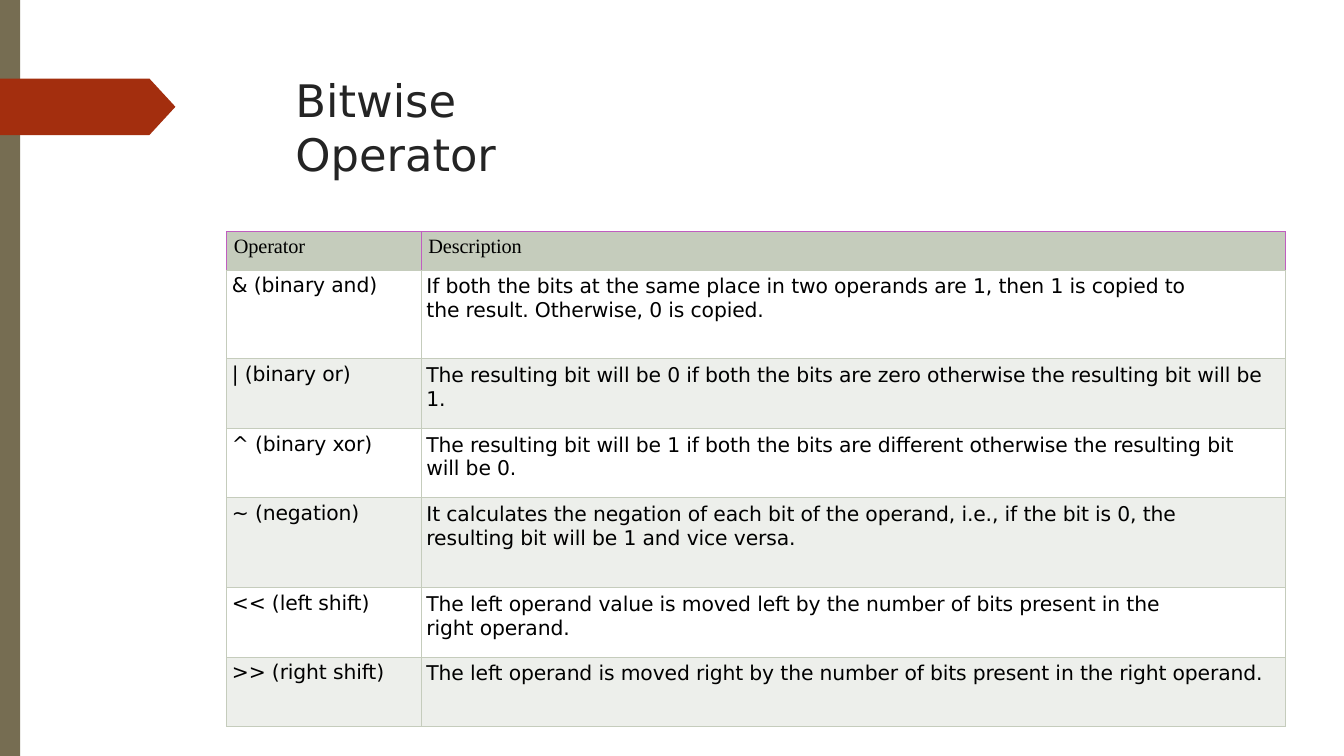
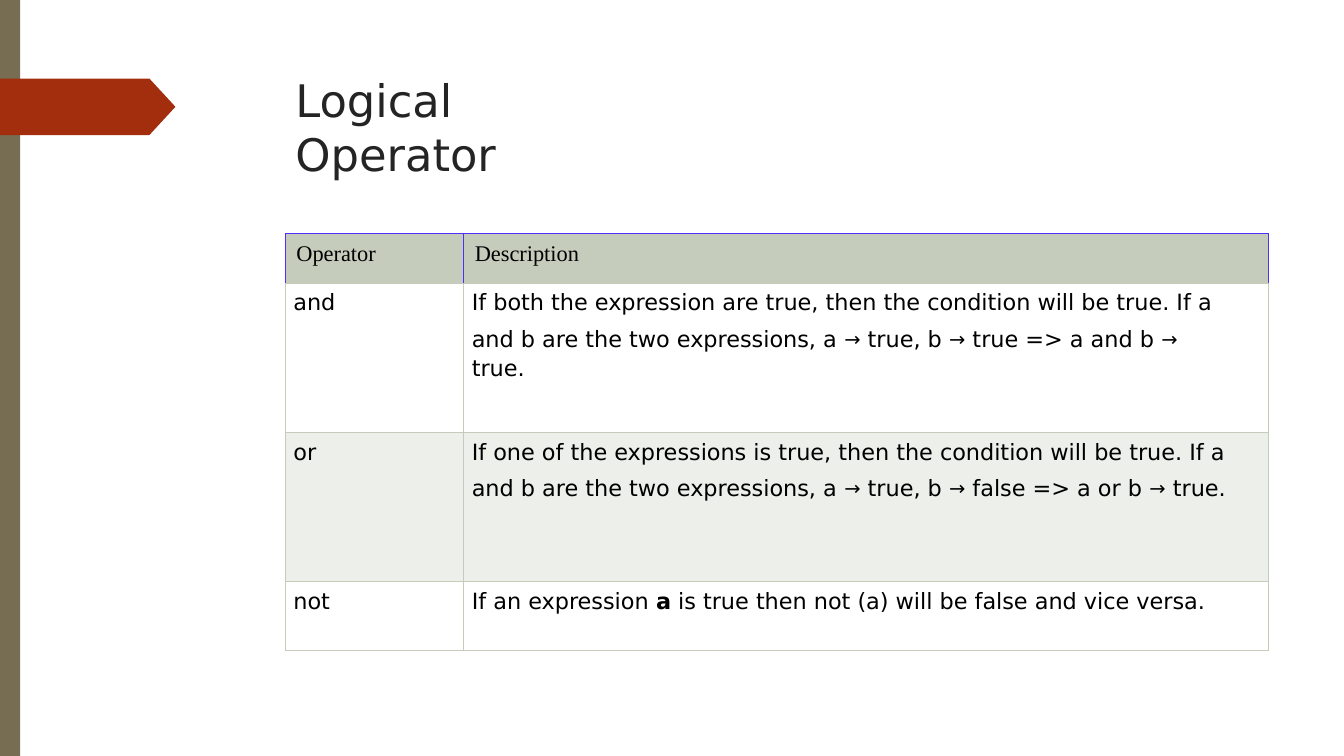
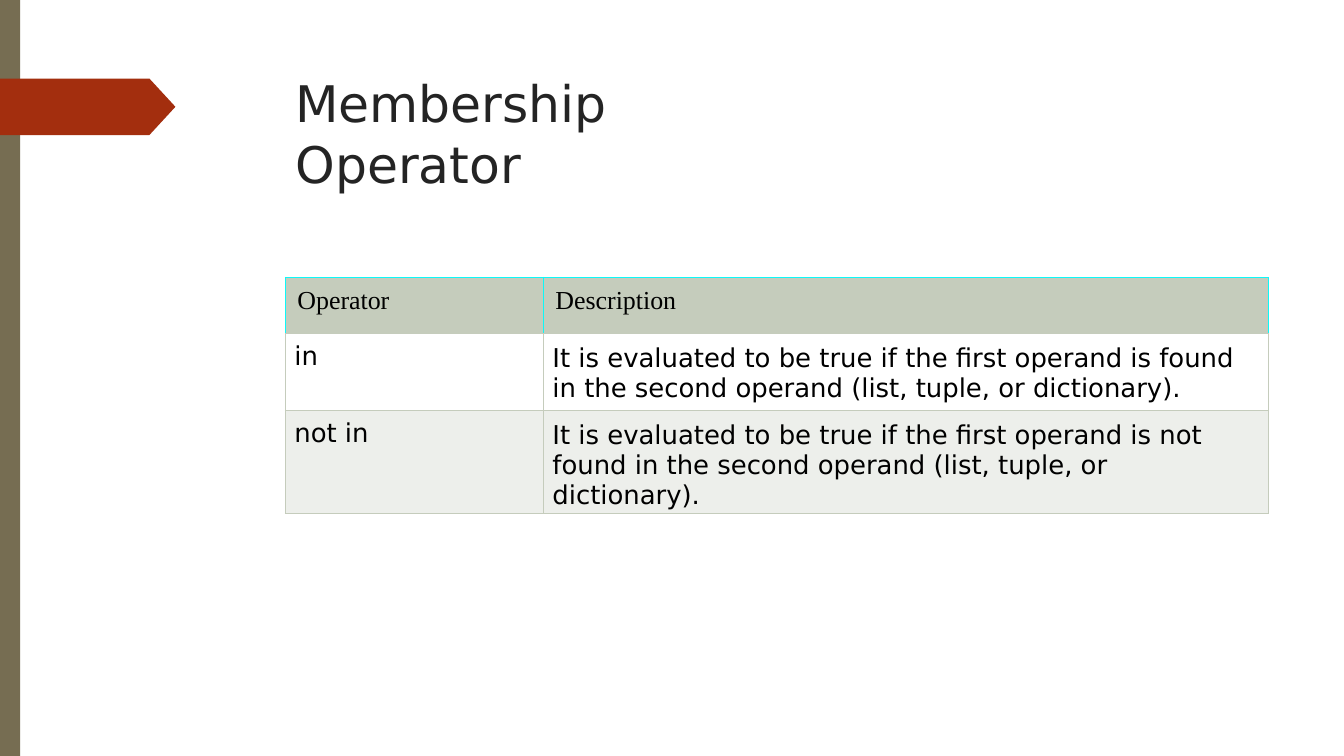
"""Build three slides that tabulate the bitwise, logical and membership operators."""
from itertools import groupby

from lxml.etree import SubElement
from pptx import Presentation
from pptx.dml.color import RGBColor
from pptx.enum.shapes import MSO_SHAPE as Preset
from pptx.enum.text import MSO_ANCHOR as Anchor, MSO_AUTO_SIZE as AutoSize, PP_ALIGN as Align
from pptx.oxml.ns import qn
from pptx.util import Inches, Pt

WIDTH, HEIGHT = 13.33, 7.5
BODY_FONT, HEADER_FONT, ARROW_FONT = "DejaVu Sans", "Times New Roman", "Roboto"
BAND, RIBBON, TITLE, TEXT = "766D52", "A32E0E", "242424", "000000"
SAGE, STRIPES = "C5CCBC", ("FFFFFF", "EDEFEB")
ARROW, BOLD_MARK = "→", "**"
HEADINGS = ("Operator", "Description")

SLIDES = [
    {
        "title": "Bitwise Operator", "title_size": 32, "title_box": (3.54, 0.56),
        "origin": (2.25, 2.3), "columns": (1.93, 8.57), "header_height": 0.38,
        "size": 14.5, "spacing": -10, "accent": "C05DC0",
        "header_inset": (0.07, 0.04), "body_insets": ((0.05, 0.04), (0.05, 0.05)),
        "rows": [
            (0.88, 0.75, "& (binary and)",
             ["If both the bits at the same place in two operands are 1, then 1 is copied to "
              "the result. Otherwise, 0 is copied."]),
            (0.69, 0, "| (binary or)",
             ["The resulting bit will be 0 if both the bits are zero otherwise the resulting "
              "bit will be 1."]),
            (0.69, 0.3, "^ (binary xor)",
             ["The resulting bit will be 1 if both the bits are different otherwise the "
              "resulting bit will be 0."]),
            (0.89, 0.5, "~ (negation)",
             ["It calculates the negation of each bit of the operand, i.e., if the bit is 0, "
              "the resulting bit will be 1 and vice versa."]),
            (0.69, 0.9, "<< (left shift)",
             ["The left operand value is moved left by the number of bits present in the "
              "right operand."]),
            (0.69, 0, ">> (right shift)",
             ["The left operand is moved right by the number of bits present in the right "
              "operand."]),
        ],
    },
    {
        "title": "Logical Operator", "title_size": 32, "title_box": (3.6, 0.56),
        "origin": (2.83, 2.32), "columns": (1.77, 7.98), "header_height": 0.49,
        "size": 16, "spacing": 0, "accent": "5030F9",
        "header_inset": (0.11, 0.08), "body_insets": ((0.08, 0.07), (0.08, 0.07)),
        "rows": [
            (1.48, 0.45, "and",
             ["If both the expression are true, then the condition will be true. If a and b "
              "are the two expressions, a → true, b → true => a and b → true."]),
            (1.48, 0.1, "or",
             ["If one of the expressions is true, then the condition will be true. If a",
              "and b are the two expressions, a → true, b → false => a or b → true."]),
            (0.68, 0.1, "not",
             ["If an expression **a** is true then not (a) will be false and vice versa."]),
        ],
    },
    {
        "title": "Membership Operator", "title_size": 36, "title_box": (5.42, 0.63),
        "origin": (2.83, 2.75), "columns": (2.56, 7.19), "header_height": 0.56,
        "size": 18.5, "spacing": 0, "accent": "0EF8F8",
        "header_inset": (0.12, 0.09), "body_insets": ((0.09, 0.08), (0.09, 0.1)),
        "rows": [
            (0.76, 0.15, "in",
             ["It is evaluated to be true if the first operand is found in the second operand "
              "(list, tuple, or dictionary)."]),
            (0.77, 0.3, "not in",
             ["It is evaluated to be true if the first operand is not found in the second "
              "operand (list, tuple, or dictionary)."]),
        ],
    },
]


def rgb(value):
    """Turn a hex string into a colour."""
    return RGBColor.from_string(value)


def style_font(font, name, size, color, bold=False):
    """Set the face, size, colour and weight of a font."""
    font.name, font.size, font.bold = name, Pt(size), bold
    font.color.rgb = rgb(color)


def add_band(slide, preset, box, color):
    """Draw a plain filled shape and return it."""
    shape = slide.shapes.add_shape(preset, *map(Inches, box))
    shape.shadow.inherit = False
    shape.fill.solid()
    shape.fill.fore_color.rgb = rgb(color)
    shape.line.fill.background()
    return shape


def add_frame(slide):
    """Draw the side band and the ribbon."""
    add_band(slide, Preset.RECTANGLE, (0, 0, 0.2, HEIGHT), BAND)
    ribbon = add_band(slide, Preset.PENTAGON, (0, 0.78, 1.74, 0.56), RIBBON)
    ribbon.adjustments[0] = 0.46


def set_title(slide, text, size, box):
    """Place and format the title placeholder."""
    title = slide.shapes.title
    title.left, title.top = Inches(2.92), Inches(0.71)
    title.width, title.height = map(Inches, box)
    frame = title.text_frame
    frame.text = text
    frame.word_wrap = True
    frame.auto_size = AutoSize.SHAPE_TO_FIT_TEXT
    frame.vertical_anchor = Anchor.TOP
    frame.margin_left = frame.margin_top = Inches(0.01)
    frame.margin_right = frame.margin_bottom = 0
    paragraph = frame.paragraphs[0]
    paragraph.alignment = Align.LEFT
    paragraph.space_before = Pt(1.1)
    style_font(paragraph.runs[0].font, BODY_FONT, size, TITLE)


def add_runs(paragraph, text, font_name, size, spacing):
    """Add text as runs, with raised arrows and marked bold parts."""
    for index, part in enumerate(text.split(BOLD_MARK)):
        for is_arrow, letters in groupby(part, lambda letter: letter == ARROW):
            run = paragraph.add_run()
            run.text = "".join(letters)
            properties = run._r.get_or_add_rPr()
            if is_arrow:
                style_font(run.font, ARROW_FONT, 24, TEXT)
                properties.set("baseline", "3000")
            else:
                style_font(run.font, font_name, size, TEXT, index % 2 == 1)
                properties.set("spc", str(spacing))


def set_borders(cell, colors):
    """Draw the left, right, top and bottom borders of a cell."""
    properties = cell._tc.get_or_add_tcPr()
    for side, color in zip("LRTB", colors):
        line = SubElement(properties, qn(f"a:ln{side}"), w=str(int(Pt(0.75))))
        fill = SubElement(line, qn("a:solidFill"))
        SubElement(fill, qn("a:srgbClr"), val=color)


def fill_cell(cell, paragraphs, font_name, size, spacing, inset, right, color, borders):
    """Write and format one table cell."""
    cell.margin_left, cell.margin_top = map(Inches, inset)
    cell.margin_right, cell.margin_bottom = Inches(right), 0
    set_borders(cell, borders)
    cell.fill.solid()
    cell.fill.fore_color.rgb = rgb(color)
    frame = cell.text_frame
    for index, text in enumerate(paragraphs):
        paragraph = frame.add_paragraph() if index else frame.paragraphs[0]
        add_runs(paragraph, text, font_name, size, spacing)


def add_operator_table(slide, data):
    """Add the table of operators and their descriptions."""
    heights = [data["header_height"]] + [row[0] for row in data["rows"]]
    box = (*data["origin"], sum(data["columns"]), sum(heights))
    table = slide.shapes.add_table(len(heights), len(HEADINGS), *map(Inches, box)).table
    for column, width in zip(table.columns, data["columns"]):
        column.width = Inches(width)
    for row, height in zip(table.rows, heights):
        row.height = Inches(height)
    size, spacing = data["size"], data["spacing"]
    header_borders = [data["accent"]] * 3 + [SAGE]
    for column, heading in enumerate(HEADINGS):
        fill_cell(table.cell(0, column), [heading], HEADER_FONT, size, spacing,
                  data["header_inset"], 0, SAGE, header_borders)
    for index, (_, right, operator, description) in enumerate(data["rows"]):
        texts = ([operator], 0), (description, right)
        for column, (paragraphs, margin) in enumerate(texts):
            fill_cell(table.cell(index + 1, column), paragraphs, BODY_FONT, size, spacing,
                      data["body_insets"][column], margin, STRIPES[index % 2], [SAGE] * 4)


def main():
    """Build and save the presentation."""
    presentation = Presentation()
    presentation.slide_width, presentation.slide_height = Inches(WIDTH), Inches(HEIGHT)
    for data in SLIDES:
        slide = presentation.slides.add_slide(presentation.slide_layouts[5])
        add_frame(slide)
        set_title(slide, data["title"], data["title_size"], data["title_box"])
        add_operator_table(slide, data)
    presentation.save("out.pptx")


if __name__ == "__main__":
    main()
